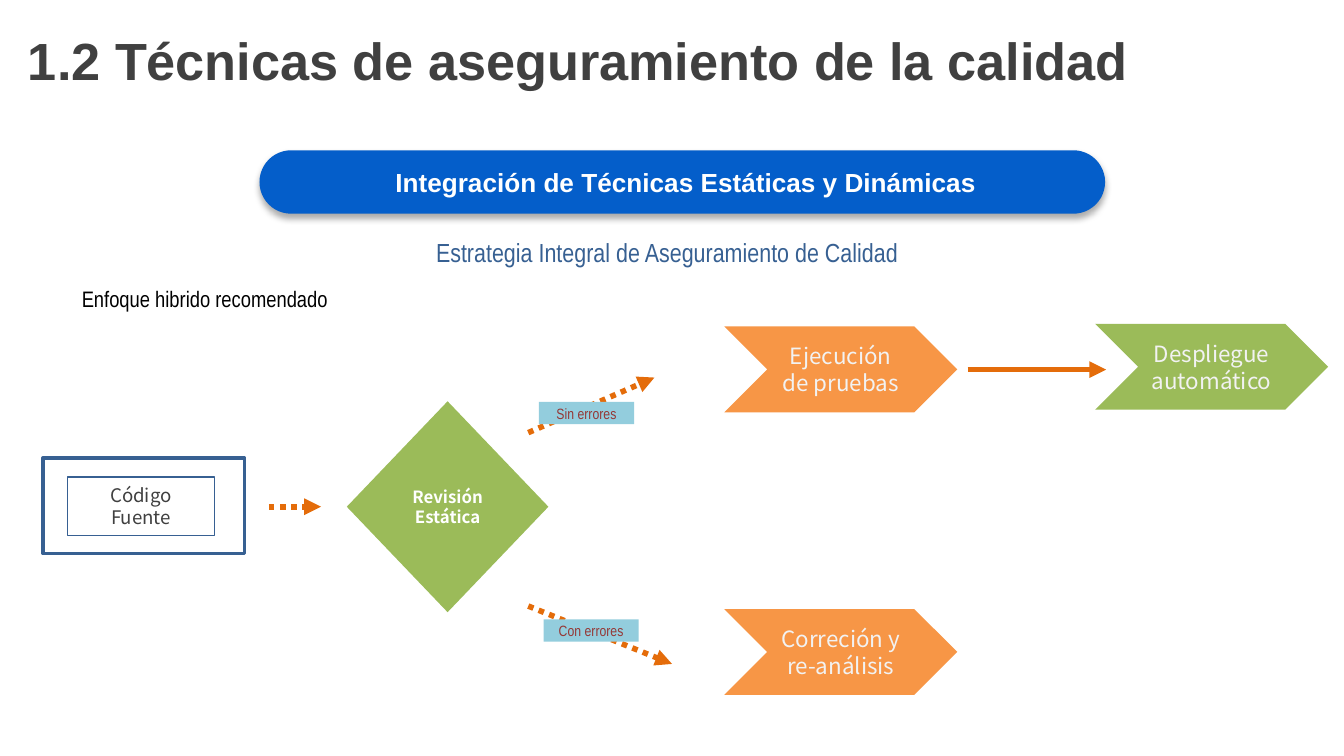
from lxml import etree
from pptx import Presentation
from pptx.dml.color import RGBColor
from pptx.enum.dml import MSO_LINE
from pptx.enum.shapes import MSO_CONNECTOR, MSO_SHAPE
from pptx.enum.text import MSO_ANCHOR, MSO_AUTO_SIZE, PP_ALIGN
from pptx.oxml.ns import qn
from pptx.util import Pt

SANS, NARROW, FLOW = "Arial", "Arial Narrow", "Noto Sans CJK KR"
BLUE, ORANGE, GREEN = "376092", "F79646", "9BBB59"
ARROW, GREY, WHITE, PALE = "E46C0A", "404040", "FFFFFF", "F2F2F2"


def color(value):
    return RGBColor.from_string(value)


def write(shape, text, font, size, ink, bold=False, align=PP_ALIGN.CENTER,
          anchor=MSO_ANCHOR.MIDDLE, left=7.2, right=7.2):
    frame = shape.text_frame
    frame.text = text
    frame.word_wrap = True
    frame.auto_size = MSO_AUTO_SIZE.NONE
    frame.vertical_anchor = anchor
    frame.margin_left, frame.margin_right = Pt(left), Pt(right)
    para = frame.paragraphs[0]
    para.alignment = align
    para.font.name = font
    para.font.size = Pt(size)
    para.font.bold = bold
    para.font.color.rgb = color(ink)


def add_block(page, kind, box, fill=None, line=None, width=1):
    shape = page.shapes.add_shape(kind, *map(Pt, box))
    shape.shadow.inherit = False
    if fill:
        shape.fill.solid()
        shape.fill.fore_color.rgb = color(fill)
    else:
        shape.fill.background()
    if line:
        shape.line.color.rgb = color(line)
        shape.line.width = Pt(width)
    else:
        shape.line.fill.background()
    return shape


def add_arrow(page, start, end, dotted=True):
    arrow = page.shapes.add_connector(
        MSO_CONNECTOR.STRAIGHT, *map(Pt, start + end))
    arrow.line.color.rgb = color(ARROW)
    arrow.line.width = Pt(3)
    if dotted:
        arrow.line.dash_style = MSO_LINE.ROUND_DOT
    line = arrow.line._get_or_add_ln()
    etree.SubElement(line, qn("a:tailEnd"), type="triangle")
    etree.SubElement(arrow._element.spPr, qn("a:effectLst"))


def add_title(page, box):
    title = page.shapes.title
    title.left, title.top, title.width, title.height = map(Pt, box)
    write(title, "1.2 Técnicas de aseguramiento de la calidad", SANS, 28,
          GREY, bold=True, align=PP_ALIGN.LEFT, left=15)


def add_banner(page, box):
    banner = add_block(page, MSO_SHAPE.ROUNDED_RECTANGLE, box, "045ECA")
    banner.adjustments[0] = 0.5
    effects = banner._element.spPr.find(qn("a:effectLst"))
    shadow = etree.SubElement(
        effects, qn("a:outerShdw"), blurRad=str(Pt(3.5)), dist=str(Pt(2.2)),
        dir="5400000", rotWithShape="0")
    shade = etree.SubElement(shadow, qn("a:srgbClr"), val="000000")
    etree.SubElement(shade, qn("a:alpha"), val="32000")
    write(banner, "Integración de Técnicas Estáticas y Dinámicas", SANS, 14,
          WHITE, bold=True, left=11)


def add_caption(page, box, text, size, ink):
    caption = page.shapes.add_textbox(*map(Pt, box))
    write(caption, text, NARROW, size, ink, align=PP_ALIGN.JUSTIFY,
          anchor=MSO_ANCHOR.TOP)


def add_source(page, box):
    """Framed starting point of the flow."""
    left, top, width, height = box
    add_block(page, MSO_SHAPE.RECTANGLE, box, line=BLUE, width=2)
    inner = add_block(page, MSO_SHAPE.RECTANGLE,
                      (left + 13, top + 10, width - 29, height - 19.5),
                      line=BLUE, width=0.75)
    write(inner, "Código Fuente", FLOW, 10, GREY, anchor=MSO_ANCHOR.TOP,
          left=9, right=9)


def add_review(page, box):
    diamond = add_block(page, MSO_SHAPE.DIAMOND, box, GREEN)
    write(diamond, "Revisión Estática", FLOW, 9, WHITE, bold=True)


def add_step(page, box, text, fill):
    step = add_block(page, MSO_SHAPE.CHEVRON, box, fill)
    write(step, text, FLOW, 12, PALE, left=5.5, right=5.5)


def add_branch(page, start, end, label_box, text):
    """Dotted arrow with its outcome label on top."""
    add_arrow(page, start, end)
    label = add_block(page, MSO_SHAPE.RECTANGLE, label_box, "93CDDD")
    write(label, text, NARROW, 8, "953735")


def add_flow(page, box):
    left, top, width, height = box
    middle = top + 98
    add_source(page, (left, middle - 26, 108, 51))
    add_arrow(page, (left + 121, middle), (left + 149, middle))
    add_review(page, (left + 162.8, middle - 56.5, 108, 113))

    step_width, step_height = 124.8, 46
    step_left = left + 365
    steps = [
        (step_left, top + 1.4, "Ejecución de pruebas", ORANGE),
        (step_left, top + height - step_height, "Correción y re-análisis",
         ORANGE),
        (left + width - step_width, top, "Despliegue automático", GREEN),
    ]
    for x, y, text, fill in steps:
        add_step(page, (x, y, step_width, step_height), text, fill)

    fork = left + 260
    add_branch(page, (fork, top + 58.3), (left + 327.6, top + 28.8),
               (left + 265.7, top + 41.8, 51, 12), "Sin errores")
    add_branch(page, (fork, top + 151.2), (left + 337, top + 182.2),
               (left + 268.2, top + 158.3, 51, 12), "Con errores")
    add_arrow(page, (left + 495.4, top + 24.5), (left + 569.6, top + 24.5),
              dotted=False)


def main():
    deck = Presentation()
    deck.slide_width, deck.slide_height = Pt(720), Pt(405)
    page = deck.slides.add_slide(deck.slide_layouts[5])
    add_title(page, (0, -3, 720, 70))
    add_banner(page, (139, 80.5, 453, 34))
    add_caption(page, (36.7, 149, 312, 22), "Enfoque hibrido recomendado",
                12, "000000")
    add_caption(page, (226.5, 123, 278, 24.5),
                "Estrategia Integral de Aseguramiento de Calidad", 14, BLUE)
    add_flow(page, (23, 173.5, 688.5, 198.8))
    deck.save("out.pptx")


if __name__ == "__main__":
    main()
